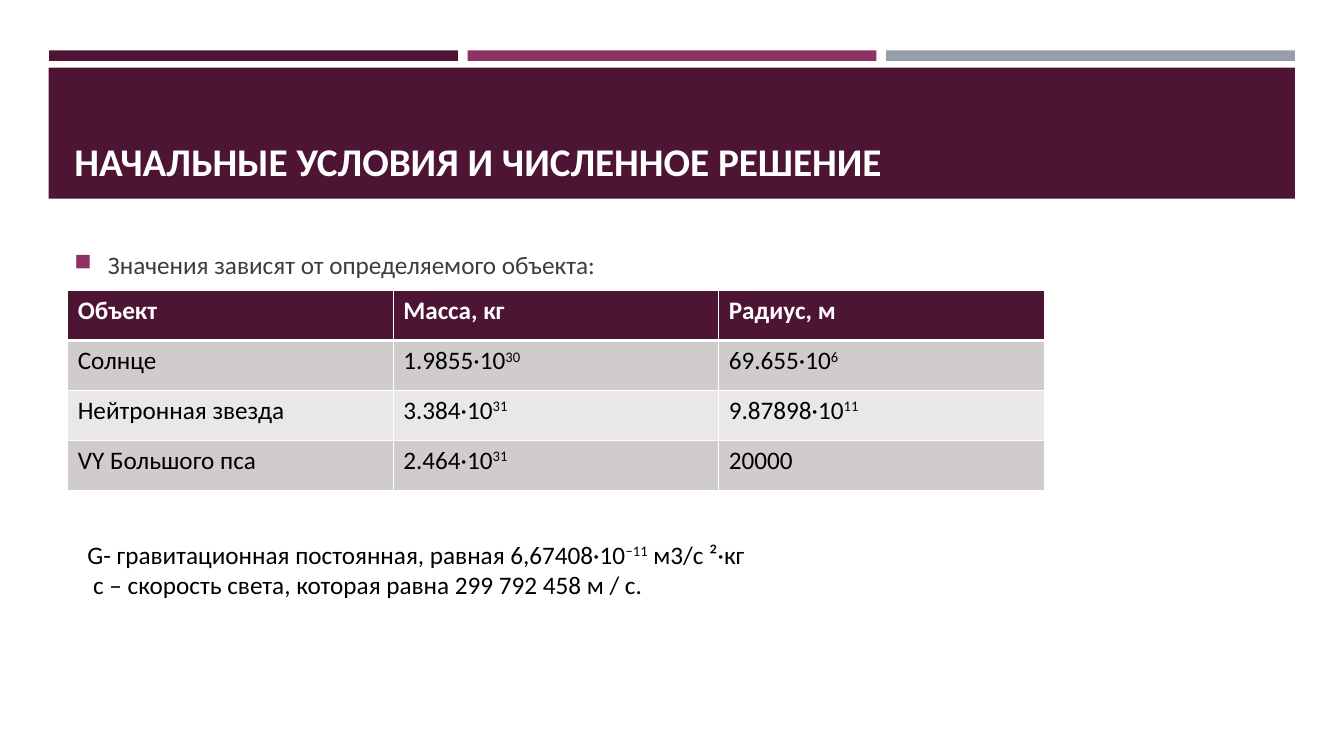
from lxml.etree import SubElement as Sub
from pptx import Presentation
from pptx.dml.color import RGBColor
from pptx.enum.shapes import MSO_SHAPE as Form
from pptx.enum.text import MSO_ANCHOR as Anchor
from pptx.oxml.ns import qn
from pptx.util import Pt

PLUM = RGBColor(0x4D, 0x14, 0x34)
PINK = RGBColor(0x90, 0x31, 0x63)
STEEL = RGBColor(0x96, 0x9F, 0xA7)
WHITE = RGBColor(0xFF, 0xFF, 0xFF)
BLACK = RGBColor(0, 0, 0)
GREY = RGBColor(0x3D, 0x3D, 0x3D)
DARK = RGBColor(0xD0, 0xCC, 0xCE)
LIGHT = RGBColor(0xE9, 0xE7, 0xE8)

ROWS = [
    ["Объект", "Масса, кг", "Радиус, м"],
    ["Солнце", "1.9855·10^30", "69.655·10^6"],
    ["Нейтронная звезда", "3.384·10^31", "9.87898·10^11"],
    ["VY Большого пса", "2.464·10^31", "20000"],
]
NOTES = [
    "G- гравитационная постоянная, равная 6,67408·10^−11^ м3/с ²·кг",
    " с – скорость света, которая равна 299 792 458 м / с.",
]


class Deck:
    """Holds the text style and the slide, and draws each kind of element."""

    def __init__(self, slide, face="Calibri", size=18):
        self.shapes = slide.shapes
        self.face, self.size = face, size

    def label(self, para, text, color, size=None, bold=False):
        """Fill a paragraph with text in which each ^ switches superscript."""
        first, *rest = text.split("^")
        para.text = first
        for part in rest:
            para.add_run().text = part
        for i, run in enumerate(para.runs):
            font = run.font
            font.name, font.size, font.bold = self.face, Pt(size or self.size), bold
            font.color.rgb = color
            if i % 2:
                run._r.get_or_add_rPr().set("baseline", "30000")

    def rect(self, x, y, w, h, color):
        """Draw a plain filled rectangle."""
        box = self.shapes.add_shape(Form.RECTANGLE, Pt(x), Pt(y), Pt(w), Pt(h))
        box.shadow.inherit = False
        box.fill.solid()
        box.fill.fore_color.rgb = color
        box.line.fill.background()

    def text(self, x, y, w, h, lines, color, anchor=Anchor.TOP, **style):
        """Add a text box with one paragraph per line and return its frame."""
        frame = self.shapes.add_textbox(Pt(x), Pt(y), Pt(w), Pt(h)).text_frame
        frame.word_wrap = True
        frame.vertical_anchor = anchor
        for i, line in enumerate(lines):
            para = frame.add_paragraph() if i else frame.paragraphs[0]
            self.label(para, line, color, **style)
        return frame

    def bullet(self, para, mark, color, indent):
        """Give a paragraph a coloured bullet with a hanging indent."""
        props = para._p.get_or_add_pPr()
        props.set("marL", str(Pt(indent)))
        props.set("indent", str(-Pt(indent)))
        para.space_after = Pt(6)
        Sub(Sub(props, qn("a:buClr")), qn("a:srgbClr"), val=str(color))
        Sub(props, qn("a:buSzPct"), val="92000")
        Sub(props, qn("a:buChar"), char=mark)

    def edge(self, cell, side, width):
        """Draw one white border of a cell."""
        line = Sub(cell._tc.get_or_add_tcPr(), qn("a:ln" + side), w=str(Pt(width)))
        Sub(Sub(line, qn("a:solidFill")), qn("a:srgbClr"), val=str(WHITE))

    def table(self, x, y, w, h, rows):
        """Add a table with a dark header and banded rows."""
        grid = self.shapes.add_table(len(rows), len(rows[0]), Pt(x), Pt(y), Pt(w), Pt(h)).table
        for r, row in enumerate(rows):
            head = r == 0
            for c, text in enumerate(row):
                cell = grid.cell(r, c)
                self.label(cell.text_frame.paragraphs[0], text,
                           WHITE if head else BLACK, bold=head)
                for side in "LRTB":
                    thick = (r, side) in [(0, "B"), (1, "T")]
                    self.edge(cell, side, 3 if thick else 1)
                cell.fill.solid()
                cell.fill.fore_color.rgb = PLUM if head else DARK if r % 2 else LIGHT


def main():
    """Build the slide and save it."""
    show = Presentation()
    show.slide_width, show.slide_height = Pt(960), Pt(540)
    deck = Deck(show.slides.add_slide(show.slide_layouts[6]))
    for i, color in enumerate([PLUM, PINK, STEEL]):
        deck.rect(35 + 299 * i, 36, 292, 7.5, color)
    deck.rect(34.8, 48.4, 890.2, 93.6, PLUM)
    deck.text(46, 55.4, 868, 80, ["НАЧАЛЬНЫЕ УСЛОВИЯ И ЧИСЛЕННОЕ РЕШЕНИЕ"],
              WHITE, Anchor.BOTTOM, size=28, bold=True)
    lead = deck.text(46, 171.4, 410, 35.3, ["Значения зависят от определяемого объекта:"],
                     GREY, Anchor.MIDDLE)
    deck.bullet(lead.paragraphs[0], "■", PINK, 24)
    deck.table(48.4, 207.6, 697.5, 142.6, ROWS)
    deck.text(55.4, 381.6, 664, 51, NOTES, BLACK)
    show.save("out.pptx")


if __name__ == "__main__":
    main()
